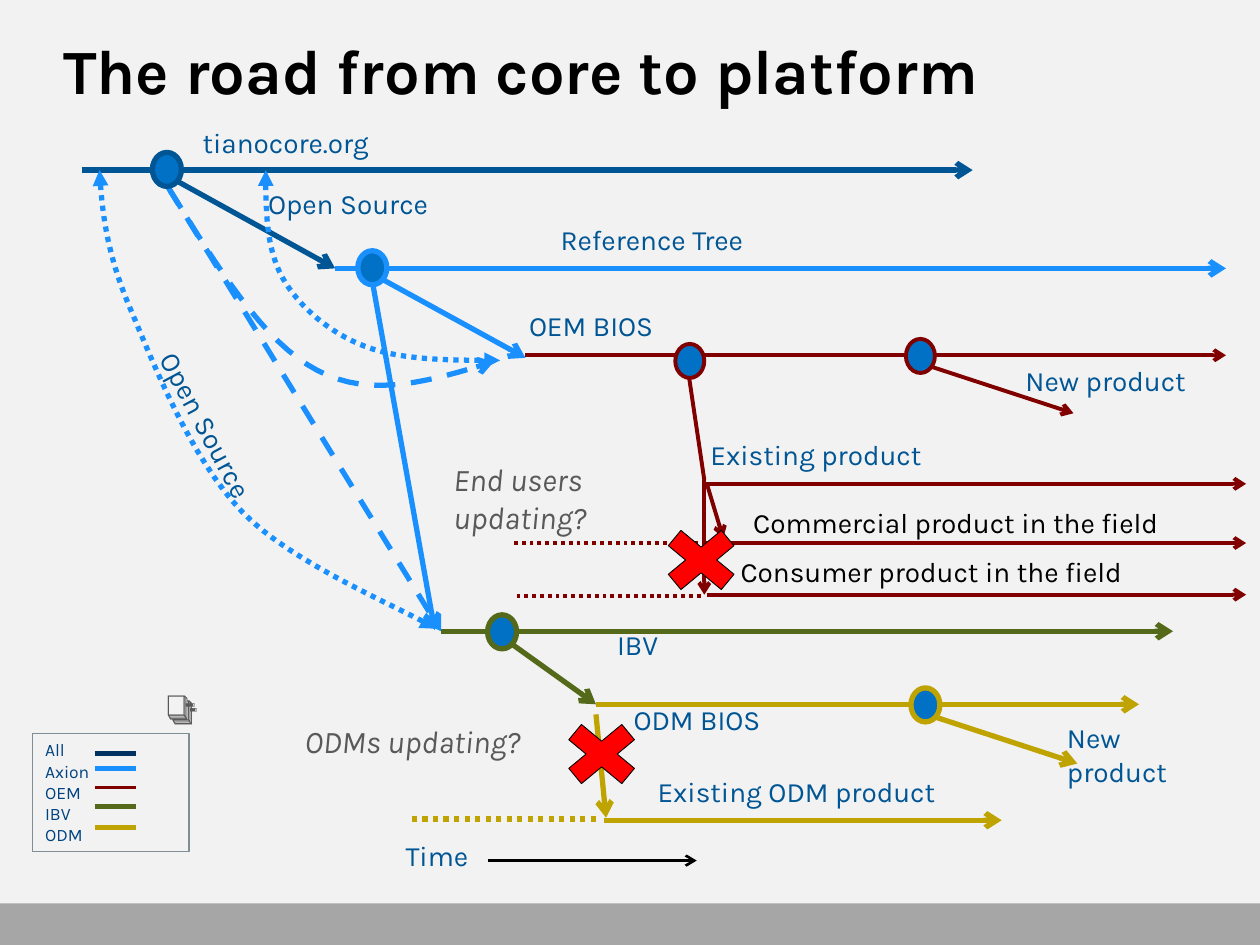
from lxml import etree
from pptx import Presentation
from pptx import util as u
from pptx.dml.color import RGBColor
from pptx.enum import dml, shapes, text
from pptx.oxml import ns

PX = 9144  # 100 px to the inch
FONT = "Karla"
DOT_W, DOT_H = 23, 27
DASH, DOTTED = dml.MSO_LINE.DASH, dml.MSO_LINE.ROUND_DOT

PAPER = RGBColor(0xF2, 0xF2, 0xF2)
BAND = RGBColor(0xA6, 0xA6, 0xA6)
BLACK = RGBColor(0, 0, 0)
GREY = RGBColor(0x59, 0x59, 0x59)
FRAME = RGBColor(0x7E, 0x8D, 0x96)
RED = RGBColor(0xFF, 0, 0)
DOT_FILL = RGBColor(0x00, 0x71, 0xC5)
CORE = RGBColor(0x00, 0x55, 0x94)
NAVY = RGBColor(0x00, 0x31, 0x60)
LEGEND_TEXT = RGBColor(0x00, 0x42, 0x80)
VENDOR = RGBColor(0x1A, 0x90, 0xFF)
OEM = RGBColor(0x80, 0, 0)
IBV = RGBColor(0x54, 0x69, 0x1A)
ODM = RGBColor(0xBF, 0xA3, 0)


def px(n):
    return u.Emu(round(n * PX))


def style_line(line, color, width, dash=None, head=None, tail=None):
    line.color.rgb = color
    line.width = u.Pt(width)
    if dash:
        line.dash_style = dash
    ln = line._get_or_add_ln()
    for tag, kind in (("a:headEnd", head), ("a:tailEnd", tail)):
        if kind:
            etree.SubElement(ln, ns.qn(tag)).set("type", kind)


def bezier(p0, p1, p2, p3, steps=16):
    """Points along one cubic curve, without its start."""
    for i in range(1, steps + 1):
        t = i / steps
        weights = (1 - t) ** 3, 3 * t * (1 - t) ** 2, 3 * t * t * (1 - t), t ** 3
        yield tuple(sum(k * p[axis] for k, p in zip(weights, (p0, p1, p2, p3)))
                    for axis in (0, 1))


class Region:
    """Places parts relative to the top left corner of a box."""

    def __init__(self, s, x, y):
        self.shapes, self.x, self.y = s.shapes, x, y

    def at(self, x, y):
        return px(self.x + x), px(self.y + y)

    def line(self, x1, y1, x2, y2, color, width=3, dash=None, tail="arrow"):
        c = self.shapes.add_connector(shapes.MSO_CONNECTOR.STRAIGHT,
                                      *self.at(x1, y1), *self.at(x2, y2))
        style_line(c.line, color, width, dash, tail=tail)
        etree.SubElement(c._element.spPr, ns.qn("a:effectLst"))

    def shape(self, kind, x, y, w, h, fill, color=None, width=3):
        sp = self.shapes.add_shape(kind, *self.at(x, y), px(w), px(h))
        sp.shadow.inherit = False
        if fill is None:
            sp.fill.background()
        else:
            sp.fill.solid()
            sp.fill.fore_color.rgb = fill
        if color is None:
            sp.line.fill.background()
        else:
            style_line(sp.line, color, width)
        return sp

    def dot(self, x, y, color, width=3):
        self.shape(shapes.MSO_SHAPE.OVAL, x, y, DOT_W, DOT_H, DOT_FILL, color, width)

    def cross(self, x, y):
        self.shape(shapes.MSO_SHAPE.MATH_MULTIPLY, x, y, 81, 67, RED, BLACK, 0.5)

    def label(self, words, x, y, w, h=37, size=16, color=CORE, italic=False,
              align=text.PP_ALIGN.LEFT, rotation=0):
        sp = self.shapes.add_textbox(*self.at(x, y), px(w), px(h))
        sp.rotation = rotation
        sp.text_frame.word_wrap = True
        write(sp.text_frame, [words], size, color, italic, align)

    def curve(self, points, dash, head, tail):
        """A start point, then three points for each curve."""
        track = [points[0]]
        for i in range(0, len(points) - 1, 3):
            track += bezier(*points[i:i + 4])
        track = [self.at(*p) for p in track]
        fb = self.shapes.build_freeform(*track[0], scale=1.0)
        fb.add_line_segments(track[1:], close=False)
        sp = fb.convert_to_shape()
        sp.shadow.inherit = False
        sp.fill.background()
        style_line(sp.line, VENDOR, 3, dash, head, tail)


def write(tf, lines, size, color, italic=False, align=text.PP_ALIGN.LEFT):
    for i, words in enumerate(lines):
        p = tf.paragraphs[0] if i == 0 else tf.add_paragraph()
        p.text, p.alignment = words, align
        p.font.name, p.font.size = FONT, u.Pt(size)
        p.font.color.rgb, p.font.italic = color, italic


def title(s, x, y, w, h):
    sp = s.shapes.title
    sp.left, sp.top, sp.width, sp.height = px(x), px(y), px(w), px(h)
    tf = sp.text_frame
    tf.margin_left = tf.margin_top = tf.margin_right = tf.margin_bottom = 0
    tf.vertical_anchor = text.MSO_ANCHOR.TOP
    write(tf, ["The road from core to platform"], 36, BLACK)
    tf.paragraphs[0].font.bold = True


def core_lanes(s, x, y):
    r = Region(s, x, y)
    r.line(0, 40, 707, 40, CORE)
    r.line(76, 49, 201, 118, CORE)
    r.line(201, 118, 908, 118, VENDOR)
    r.label("Reference Tree", 370, 77, 489)
    r.label("tianocore.org", 86, 0, 328)
    r.dot(219, 104, VENDOR)
    r.line(239, 127, 352, 189, VENDOR)


def oem_lanes(s, x, y):
    r = Region(s, x, y)
    r.line(7, 42, 563, 42, OEM, 2.25)
    r.label("OEM BIOS", 0, 0, 328)
    r.line(329, 51, 442, 88, OEM, 2.25)
    r.label("New product", 394, 44, 199)
    r.line(137, 60, 149, 141, OEM, 2.25, tail=None)
    r.dot(309, 29, OEM, 2.25)
    r.dot(126, 33, OEM, 2.25)
    r.label("Existing product", 144, 102, 235)
    # Products in the field
    for lane_x, lane_y in ((149, 144), (149, 191), (151, 232)):
        r.line(lane_x, lane_y, 579, lane_y, OEM, 2.25)
    for end, lane_y in ((144, 191), (146, 233)):
        r.line(end, lane_y, end - 146, lane_y, OEM, 2.25, DOTTED, None)
    r.label("Commercial product in the field", 178, 156, 476, color=BLACK)
    r.label("Consumer product in the field", 168, 195, 476, color=BLACK)
    r.line(149, 141, 149, 232, OEM, 2.25)
    r.line(151, 144, 164, 187, OEM, 2.25)
    r.cross(106, 171)
    r.label("End users updating?", -60, 120, 201, 71, 18, GREY, True)


def ibv_lanes(s, x, y):
    r = Region(s, x, y)
    r.line(0, 13, 581, 13, IBV)
    r.label("IBV", 130, 5, 217)
    r.dot(37, 0, IBV)
    r.line(56, 23, 123, 71, IBV)


def odm_lanes(s, x, y):
    r = Region(s, x, y)
    r.line(0, 13, 431, 13, ODM)
    r.label("ODM BIOS", 20, 7, 249)
    r.dot(250, 0, ODM)
    r.line(269, 23, 382, 60, ODM)
    r.label("New product", 364, 21, 146, 63)
    r.line(6, 105, 322, 105, ODM)
    r.label("Existing ODM product", 39, 64, 241)
    r.line(0, 104, -146, 104, ODM, dash=DOTTED, tail=None)
    r.line(0, 21, 8, 103, ODM)
    r.cross(-36, 19)
    r.label("ODMs updating?", -241, 22, 225, 40, 18, GREY, True)


def time_axis(s, x, y):
    r = Region(s, x, y)
    r.label("Time", 0, 0, 235)
    r.line(75, 22, 241, 22, BLACK, 1.5)


def core_links(s, x, y):
    """Paths that leave the core tree for the OEM and IBV trees."""
    r = Region(s, x, y)
    r.line(54, 13, 271, 366, VENDOR, dash=DASH)
    r.dot(42, -14, CORE)
    r.line(217, 91, 266, 365, VENDOR)
    r.label("Open Source", -2, 206, 197, rotation=61.7)
    r.curve([(56, 16), (93, 76), (130, 137), (173, 159), (216, 182), (264, 167),
             (313, 152)], DASH, None, "arrow")
    r.curve([(0, 0), (2, 32), (5, 64), (24, 109), (43, 154), (72, 228), (113, 271),
             (153, 313), (241, 348), (267, 364)], DOTTED, "triangle", "triangle")
    r.curve([(132, 0), (132, 31), (132, 61), (145, 85), (158, 108), (182, 129),
             (211, 140), (240, 151), (279, 151), (318, 151)],
            DOTTED, "triangle", "triangle")
    r.label("Open Source", 124, 8, 197)


def legend(s, x, y, w, h):
    r = Region(s, x, y)
    sp = r.shape(shapes.MSO_SHAPE.RECTANGLE, 0, 0, w, h, None, FRAME, 0.75)
    sp.text_frame.vertical_anchor = text.MSO_ANCHOR.TOP
    write(sp.text_frame, ["All", "Axion", "OEM", "IBV", "ODM"], 10, LEGEND_TEXT)
    keys = (NAVY, 16), (VENDOR, 28), (OEM, 43), (IBV, 58), (ODM, 75)
    for color, key_y in keys:
        r.line(49, key_y, 82, key_y, color, 2.25 if color == OEM else 3, tail=None)
    r.label("📑", 86, -41, 55, 40, 18, GREY, align=text.PP_ALIGN.RIGHT)


def main():
    prs = Presentation()
    prs.slide_width, prs.slide_height = px(1000), px(750)
    s = prs.slides.add_slide(prs.slide_layouts[5])
    s.background.fill.solid()
    s.background.fill.fore_color.rgb = PAPER
    Region(s, 0, 717).shape(shapes.MSO_SHAPE.RECTANGLE, 0, 0, 1000, 33, BAND)
    title(s, 50, 25, 900, 108)
    core_lanes(s, 65, 95)
    oem_lanes(s, 410, 240)
    ibv_lanes(s, 350, 488)
    odm_lanes(s, 473, 546)
    time_axis(s, 312, 661)
    core_links(s, 79, 135)
    legend(s, 26, 582, 124, 94)
    prs.save("out.pptx")


if __name__ == "__main__":
    main()
